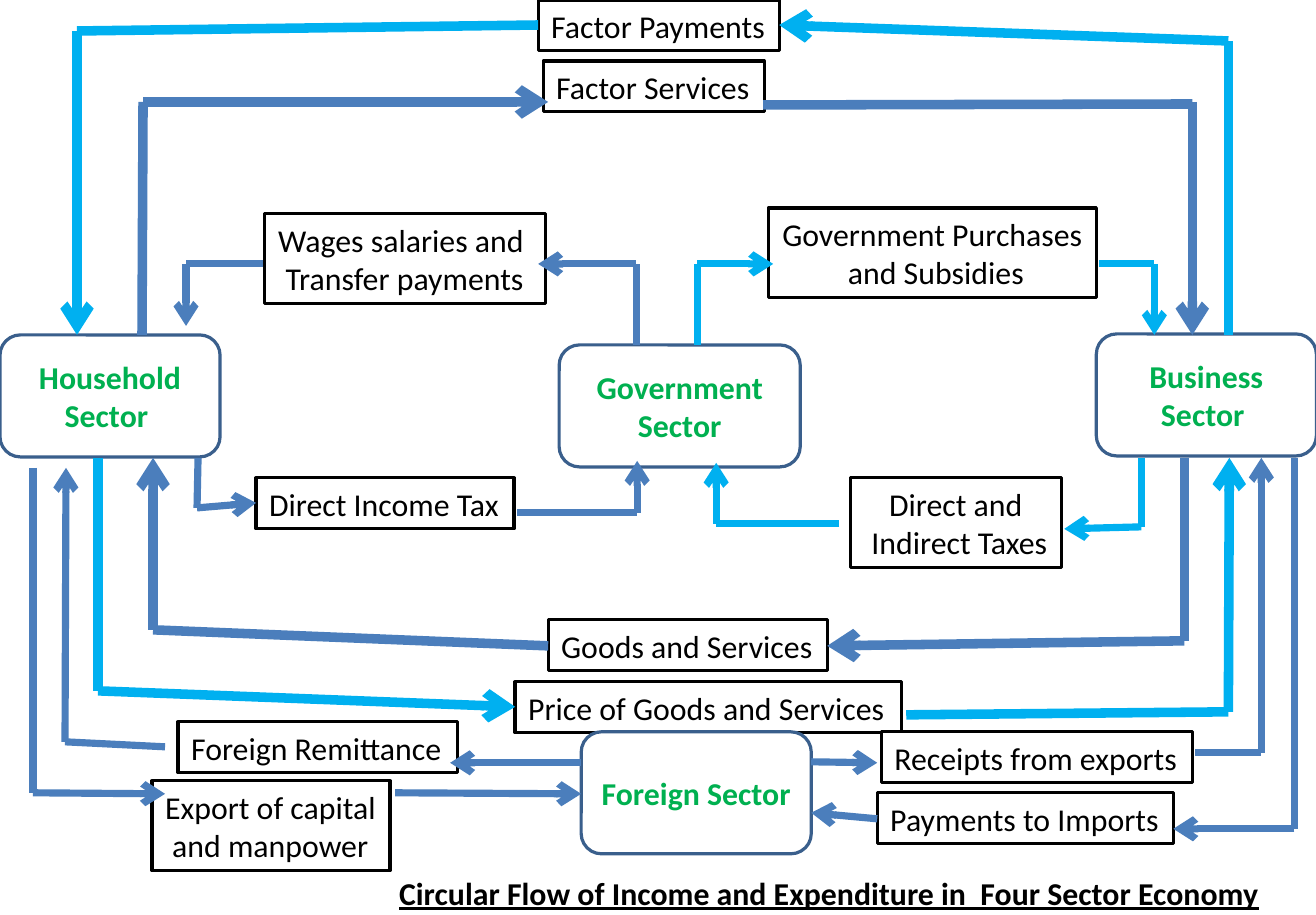
from lxml import etree
from pptx import Presentation
from pptx import util as u
from pptx.dml.color import RGBColor
from pptx.enum import shapes, text
from pptx.oxml.ns import qn

HUES = {"ink": "000000", "paper": "FFFFFF", "edge": "3A5F8C",
        "name": "00B050", "blue": "4B7EBC", "sky": "00B0F0"}
LEFT, MID = text.PP_ALIGN.LEFT, text.PP_ALIGN.CENTER


def px(n):
    return u.Emu(round(n * 914400 / 114.4))


def hue(key):
    return RGBColor.from_string(HUES[key])


class Chart:
    def __init__(self, deck):
        self.slide = deck.slides.add_slide(deck.slide_layouts[5])
        self.shapes = self.slide.shapes

    def letter(self, shape, words, color, bold, align, anchor, wrap):
        frame = shape.text_frame
        frame.text = words
        frame.word_wrap = wrap
        frame.vertical_anchor = anchor
        frame.margin_left = frame.margin_right = px(13)
        frame.margin_top = frame.margin_bottom = px(7)
        for para in frame.paragraphs:
            para.alignment = align
            font = para.font
            font.name, font.size, font.bold = "Calibri", u.Pt(20), bold
            font.color.rgb = hue(color)
        return frame

    def title(self, words, *area):
        shape = self.shapes.title
        shape.left, shape.top, shape.width, shape.height = map(px, area)
        frame = self.letter(shape, words, "ink", True, LEFT,
                            text.MSO_ANCHOR.TOP, False)
        frame.auto_size = text.MSO_AUTO_SIZE.NONE
        frame.paragraphs[0].font.underline = True

    def box(self, kind, area, edge):
        shape = self.shapes.add_shape(kind, *map(px, area))
        shape.shadow.inherit = False
        shape.fill.solid()
        shape.fill.fore_color.rgb = hue("paper")
        shape.line.color.rgb = hue(edge)
        shape.line.width = u.Pt(2)
        return shape

    def sector(self, words, *area):
        shape = self.box(shapes.MSO_SHAPE.ROUNDED_RECTANGLE, area, "edge")
        self.letter(shape, words, "name", True, MID,
                    text.MSO_ANCHOR.MIDDLE, True)

    def label(self, words, *area, align=LEFT):
        shape = self.box(shapes.MSO_SHAPE.RECTANGLE, area, "ink")
        self.letter(shape, words, "ink", False, align,
                    text.MSO_ANCHOR.TOP, False)

    def route(self, color, width, *points, arrow=True):
        for start, end in zip(points, points[1:]):
            line = self.shapes.add_connector(
                shapes.MSO_CONNECTOR.STRAIGHT, *map(px, start + end))
            line.line.color.rgb = hue(color)
            line.line.width = u.Pt(width)
            props = line._element.spPr
            if arrow and end == points[-1]:
                tip = etree.SubElement(props.find(qn("a:ln")), qn("a:tailEnd"))
                tip.set("type", "arrow")
            etree.SubElement(props, qn("a:effectLst"))


deck = Presentation()
deck.slide_width, deck.slide_height = u.Inches(11.5), u.Inches(8)
flow = Chart(deck)
flow.title("Circular Flow of Income and Expenditure in  Four Sector Economy",
           386, 867, 892, 51)

flow.label("Factor Services", 543, 61, 221, 51)
flow.label("Goods and Services", 548, 620, 279, 51)
flow.label("Factor Payments", 538, 0, 241, 51)
flow.label("Price of Goods and Services", 515, 682, 386, 51)
flow.label("Direct Income Tax", 256, 478, 258, 51)
flow.label("Wages salaries and \nTransfer payments", 264, 214, 281, 90, align=MID)
flow.label("Direct and\n Indirect Taxes", 850, 478, 211, 90, align=MID)
flow.label("Government Purchases\n and Subsidies", 768, 208, 328, 90, align=MID)
flow.label("Foreign Remittance", 178, 722, 279, 51)
flow.label("Export of capital\n and manpower", 152, 781, 238, 90)
flow.label("Receipts from exports", 881, 732, 311, 51)
flow.label("Payments to Imports", 877, 793, 296, 51)

flow.sector("Business Sector ", 1096, 334, 220, 122)
flow.sector("Household Sector ", 0, 335, 220, 122)
flow.sector("Government Sector", 559, 345, 241, 122)
flow.sector("Foreign Sector", 581, 732, 230, 122)

flow.route("blue", 6, (142, 335), (143, 102), (548, 102))
flow.route("blue", 6, (763, 105), (1192, 104), arrow=False)
flow.route("blue", 6, (1192, 102), (1192, 335))
flow.route("blue", 6, (1184, 458), (1184, 641), (827, 646))
flow.route("blue", 6, (548, 646), (153, 630), (153, 458))
flow.route("sky", 6, (1228, 335), (1228, 41), (779, 25))
flow.route("sky", 6, (538, 25), (77, 31), (77, 335))
flow.route("sky", 6, (98, 458), (98, 691), (515, 707))
flow.route("sky", 6, (906, 715), (1228, 712), (1229, 458))

flow.route("blue", 4.5, (636, 345), (636, 264), (538, 264))
flow.route("blue", 4.5, (263, 264), (186, 264), (186, 326))
flow.route("blue", 4.5, (198, 458), (197, 508), (256, 503))
flow.route("blue", 4.5, (517, 513), (637, 513), (637, 461))
flow.route("sky", 4.5, (1141, 458), (1141, 527), (1064, 529))
flow.route("sky", 4.5, (839, 524), (716, 524), (716, 463))
flow.route("sky", 4.5, (697, 345), (697, 264), (773, 264))
flow.route("sky", 4.5, (1099, 264), (1154, 264), (1154, 335))

flow.route("blue", 4.5, (165, 747), (65, 742), (66, 468))
flow.route("blue", 4.5, (33, 468), (33, 793), (165, 794))
flow.route("blue", 4.5, (395, 793), (581, 794))
flow.route("blue", 4.5, (581, 763), (450, 763))
flow.route("blue", 4.5, (811, 762), (877, 763))
flow.route("blue", 4.5, (1195, 753), (1261, 753), (1261, 458))
flow.route("blue", 4.5, (1294, 458), (1294, 829), (1173, 829))
flow.route("blue", 4.5, (877, 819), (811, 813))

deck.save("out.pptx")
